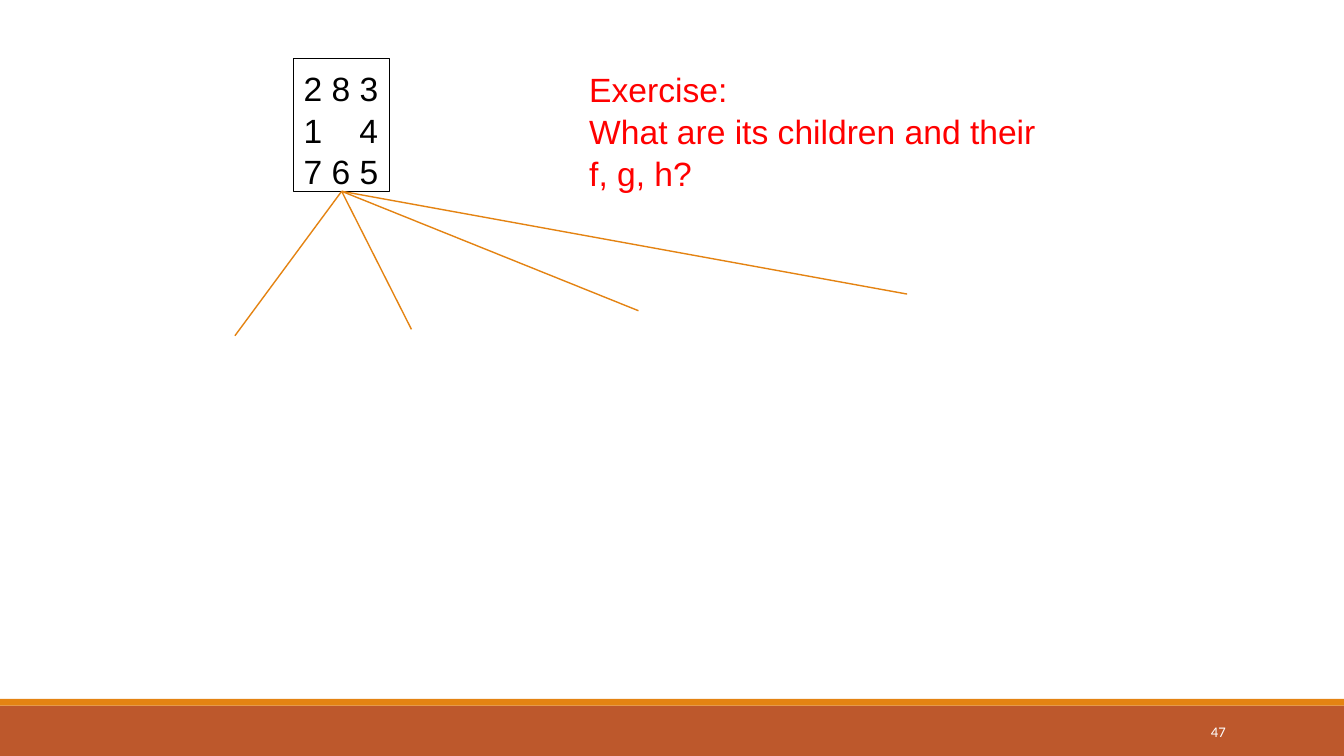
from dataclasses import dataclass

from lxml import etree
from pptx import Presentation
from pptx.dml.color import RGBColor
from pptx.enum.shapes import MSO_CONNECTOR, MSO_SHAPE
from pptx.enum.text import MSO_ANCHOR, PP_ALIGN
from pptx.oxml.ns import qn
from pptx.util import Cm, Pt

RECTANGLE = MSO_SHAPE.RECTANGLE
STRAIGHT = MSO_CONNECTOR.STRAIGHT
TOP, MIDDLE = MSO_ANCHOR.TOP, MSO_ANCHOR.MIDDLE
LEFT, RIGHT = PP_ALIGN.LEFT, PP_ALIGN.RIGHT
BOTTOM_SITE = 2

PAGE_WIDTH, PAGE_HEIGHT = 33.87, 19.05
FOOTER_TOP, STRIPE_HEIGHT = 17.78, 0.17
LAST_DIGIT_TAB = 1.41


@dataclass(frozen=True)
class Theme:
    black: RGBColor = RGBColor(0x00, 0x00, 0x00)
    white: RGBColor = RGBColor(0xFF, 0xFF, 0xFF)
    red: RGBColor = RGBColor(0xFF, 0x00, 0x00)
    orange: RGBColor = RGBColor(0xE4, 0x83, 0x12)
    rust: RGBColor = RGBColor(0xBD, 0x58, 0x2C)
    body_font: str = "Arial"
    footer_font: str = "Calibri"
    body_size: float = 24
    footer_size: float = 10.5
    outline: float = 0.75
    branch: float = 1


class SlideBuilder:
    def __init__(self, page, theme):
        self.page = page
        self.theme = theme

    def bar(self, top, height, color):
        bar = self.page.shapes.add_shape(
            RECTANGLE, Cm(0), Cm(top), Cm(PAGE_WIDTH), Cm(height))
        bar.shadow.inherit = False
        bar.fill.solid()
        bar.fill.fore_color.rgb = color
        bar.line.fill.background()

    def board(self, left, top, width, height, rows):
        """Outlined puzzle state; a tab in a row skips to the last column."""
        board = self.page.shapes.add_shape(
            RECTANGLE, Cm(left), Cm(top), Cm(width), Cm(height))
        board.shadow.inherit = False
        board.fill.background()
        board.line.color.rgb = self.theme.black
        board.line.width = Pt(self.theme.outline)
        self.write_body(board.text_frame, rows, self.theme.black)
        return board

    def text(self, left, top, width, height, lines, color):
        box = self.page.shapes.add_textbox(
            Cm(left), Cm(top), Cm(width), Cm(height))
        self.write_body(box.text_frame, lines, color)

    def write_body(self, frame, lines, color):
        frame.word_wrap = False
        frame.vertical_anchor = TOP
        frame.margin_top, frame.margin_bottom = Cm(0.24), Cm(0)
        for index, line in enumerate(lines):
            para = frame.add_paragraph() if index else frame.paragraphs[0]
            para.text = line
            para.alignment = LEFT
            if index:
                para.space_before = Pt(1)
            if "\t" in line:
                self.add_tab(para, LAST_DIGIT_TAB)
            self.set_font(para, self.theme.body_font, self.theme.body_size, color)

    def add_tab(self, para, position):
        tabs = etree.SubElement(para._p.get_or_add_pPr(), qn("a:tabLst"))
        etree.SubElement(tabs, qn("a:tab"), pos=str(int(Cm(position))), algn="l")

    def set_font(self, para, name, size, color):
        para.font.name = name
        para.font.size = Pt(size)
        para.font.color.rgb = color

    def page_number(self, left, top, width, height, number):
        box = self.page.shapes.add_textbox(
            Cm(left), Cm(top), Cm(width), Cm(height))
        frame = box.text_frame
        frame.word_wrap = True
        frame.vertical_anchor = MIDDLE
        para = frame.paragraphs[0]
        para.text = number
        para.alignment = RIGHT
        self.set_font(para, self.theme.footer_font, self.theme.footer_size,
                      self.theme.white)

    def branch(self, parent, end_x, end_y):
        """Line from the bottom middle of the parent to an open end."""
        line = self.page.shapes.add_connector(
            STRAIGHT, Cm(0), Cm(0), Cm(end_x), Cm(end_y))
        line.begin_connect(parent, BOTTOM_SITE)
        line.line.color.rgb = self.theme.orange
        line.line.width = Pt(self.theme.branch)
        etree.SubElement(line._element.spPr, qn("a:effectLst"))


def main():
    deck = Presentation()
    deck.slide_width, deck.slide_height = Cm(PAGE_WIDTH), Cm(PAGE_HEIGHT)
    theme = Theme()
    slide = SlideBuilder(deck.slides.add_slide(deck.slide_layouts[6]), theme)

    slide.bar(FOOTER_TOP, PAGE_HEIGHT - FOOTER_TOP, theme.rust)
    slide.bar(FOOTER_TOP - STRIPE_HEIGHT, STRIPE_HEIGHT, theme.orange)
    slide.page_number(27.52, 17.94, 3.62, 1.01, "47")

    board = slide.board(7.4, 1.47, 2.42, 3.35, ["2 8 3", "1\t4", "7 6 5"])
    slide.text(14.6, 1.5, 11.88, 3.33,
               ["Exercise:", "What are its children and their", "f, g, h?"],
               theme.red)
    for end_x, end_y in [(5.92, 8.46), (10.37, 8.3), (16.09, 7.83), (22.86, 7.41)]:
        slide.branch(board, end_x, end_y)

    deck.save("out.pptx")


if __name__ == "__main__":
    main()
